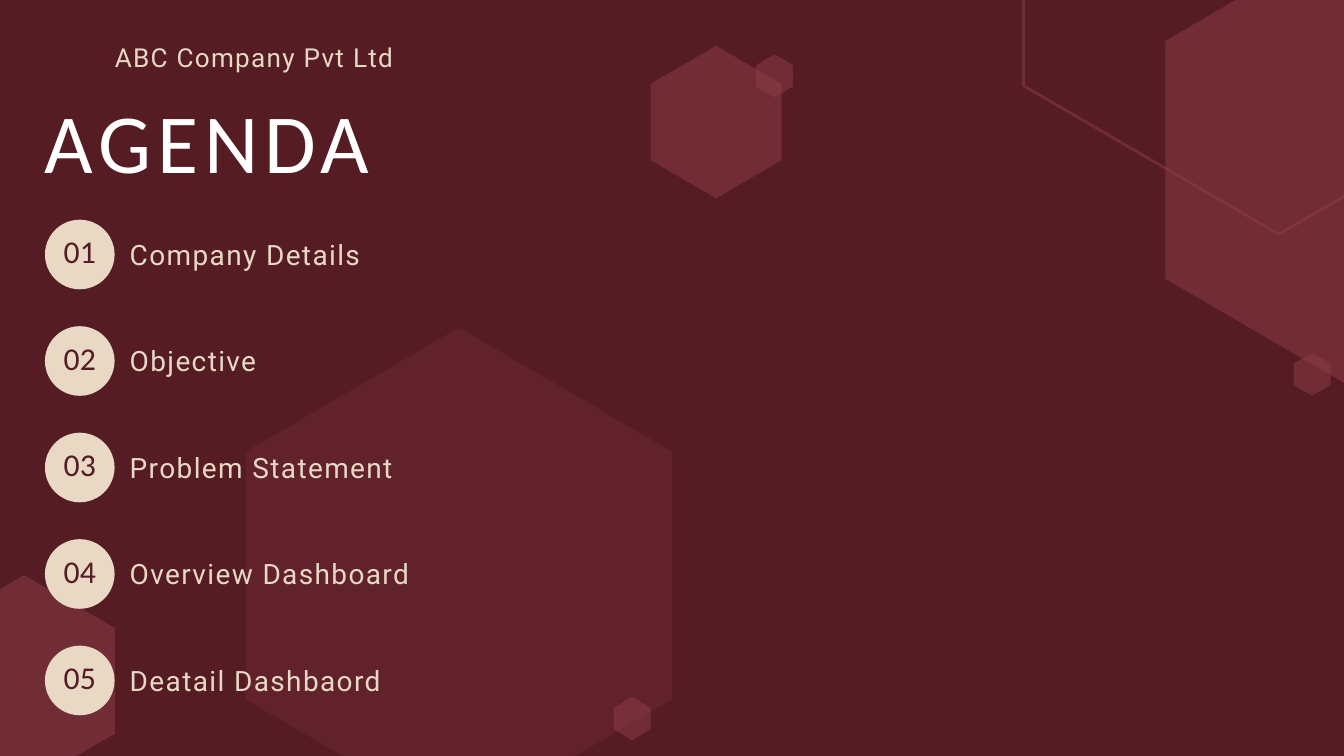
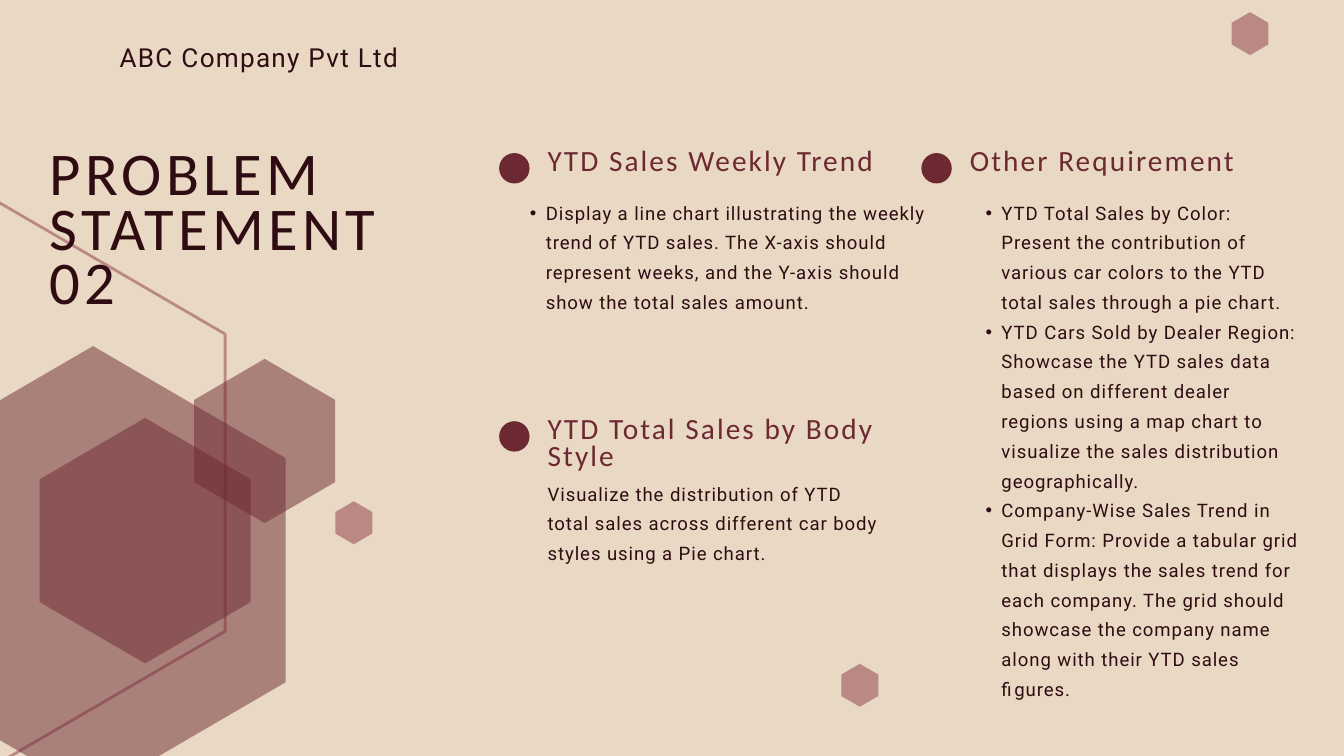
from collections import namedtuple

from lxml.etree import SubElement
from pptx import Presentation
from pptx.dml.color import RGBColor
from pptx.enum.shapes import MSO_SHAPE as Preset
from pptx.enum.text import MSO_ANCHOR as Anchor, MSO_AUTO_SIZE as AutoSize, PP_ALIGN as Align
from pptx.oxml.ns import qn
from pptx.util import Pt

COLORS = {
    "wine": "561C24",
    "plum": "6D2932",
    "rose": "8E3C47",
    "sand": "E8D8C4",
    "ink": "2F0C11",
    "white": "FFFFFF",
}

TextStyle = namedtuple("TextStyle", "font size leading tracking")
STYLES = {
    "company": TextStyle("Roboto", 28, 39.2, 1.4),
    "agenda title": TextStyle("Calibri", 90, 81, 6.3),
    "topic title": TextStyle("Calibri", 65, 58.5, 4.5),
    "agenda item": TextStyle("Roboto", 30, 42, 1.5),
    "number": TextStyle("Calibri", 34, None, 0),
    "heading": TextStyle("Calibri", 31.4, 28.2, 2.2),
    "body": TextStyle("Roboto", 19.9, 31.9, 1),
}

TITLE_ONLY = 5
HEXAGON_RATIO = 1.164
SMALL_HEXAGON = 39.6


class Deck:
    def __init__(self):
        self.presentation = Presentation()
        self.presentation.slide_width = Pt(1440)
        self.presentation.slide_height = Pt(810)
        self.slide = None

    def color(self, name):
        return RGBColor.from_string(COLORS[name])

    def add_slide(self, background):
        layout = self.presentation.slide_layouts[TITLE_ONLY]
        self.slide = self.presentation.slides.add_slide(layout)
        fill = self.slide.background.fill
        fill.solid()
        fill.fore_color.rgb = self.color(background)

    def set_text(self, shape, paragraphs, style_name, color, bulleted=False):
        """Fill a shape with paragraphs in one of the named text styles."""
        style = STYLES[style_name]
        frame = shape.text_frame
        frame.word_wrap = True
        frame.auto_size = AutoSize.NONE
        frame.vertical_anchor = Anchor.TOP
        frame.margin_left = frame.margin_right = 0
        frame.margin_top = frame.margin_bottom = 0
        frame.text = "\n".join(paragraphs)
        for paragraph in frame.paragraphs:
            paragraph.alignment = Align.LEFT
            if style.leading:
                paragraph.line_spacing = Pt(style.leading)
            if bulleted:
                self.add_bullet(paragraph)
            for run in paragraph.runs:
                run.font.name = style.font
                run.font.size = Pt(style.size)
                run.font.color.rgb = self.color(color)
                run._r.get_or_add_rPr().set("spc", str(round(style.tracking * 100)))

    def add_bullet(self, paragraph):
        properties = paragraph._p.get_or_add_pPr()
        properties.set("marL", str(Pt(34)))
        properties.set("indent", str(Pt(-17)))
        SubElement(properties, qn("a:buFont")).set("typeface", "Arial")
        SubElement(properties, qn("a:buChar")).set("char", "•")

    def title(self, left, top, width, height, text, style_name, color):
        title = self.slide.shapes.title
        title.left, title.top = Pt(left), Pt(top)
        title.width, title.height = Pt(width), Pt(height)
        self.set_text(title, [text], style_name, color)
        # Bring the title in front of the hexagons
        title.element.getparent().append(title.element)

    def text(self, left, top, width, height, paragraphs, style_name, color, bulleted=False):
        box = self.slide.shapes.add_textbox(Pt(left), Pt(top), Pt(width), Pt(height))
        self.set_text(box, paragraphs, style_name, color, bulleted)

    def company(self, left, color):
        self.text(left, 39, 360, 39, ["ABC Company Pvt Ltd"], "company", color)

    def hexagon(self, left, top, width=SMALL_HEXAGON, color="rose", outlined=False):
        """Draw a half-transparent hexagon that stands on a corner."""
        height = width * HEXAGON_RATIO
        middle, right = left + width / 2, left + width
        upper, lower = top + height / 4, top + height * 3 / 4
        corners = [(right, upper), (right, lower), (middle, top + height),
                   (left, lower), (left, upper)]
        builder = self.slide.shapes.build_freeform(Pt(middle), Pt(top))
        builder.add_line_segments([(Pt(x), Pt(y)) for x, y in corners], close=True)
        shape = builder.convert_to_shape()
        shape.shadow.inherit = False
        if outlined:
            shape.fill.background()
            shape.line.color.rgb = self.color(color)
            shape.line.width = Pt(3)
        else:
            shape.fill.solid()
            shape.fill.fore_color.rgb = self.color(color)
            shape.line.fill.background()
        for tint in shape.element.spPr.iter(qn("a:srgbClr")):
            SubElement(tint, qn("a:alpha")).set("val", "50000")

    def circle(self, left, top, size, color):
        shape = self.slide.shapes.add_shape(Preset.OVAL, Pt(left), Pt(top), Pt(size), Pt(size))
        shape.shadow.inherit = False
        shape.fill.solid()
        shape.fill.fore_color.rgb = self.color(color)
        shape.line.fill.background()
        return shape

    def agenda_item(self, top, number, label):
        circle = self.circle(48.2, top, 74.6, "sand")
        self.set_text(circle, [f"{number:02}"], "number", "wine")
        circle.text_frame.vertical_anchor = Anchor.MIDDLE
        circle.text_frame.margin_bottom = Pt(7)
        circle.text_frame.paragraphs[0].alignment = Align.CENTER
        self.text(139, top + 13, 541, 42, [label], "agenda item", "sand")

    def heading(self, left, top, text):
        self.circle(left, top + 2, 32.6, "plum")
        self.text(left + 52, top, 354, 62, [text], "heading", "plum")


def build_agenda(deck):
    deck.add_slide("wine")
    deck.hexagon(263.5, 351, 456.5, "plum")
    deck.hexagon(1248.5, -83.5, 437.8)
    deck.hexagon(1096.6, -386, 547.2, outlined=True)
    deck.hexagon(-71.3, 616.3, 194.4)
    deck.hexagon(697, 49, 140.4)
    for left, top in [(810, 58.3), (1386, 378), (657.4, 746.8)]:
        deck.hexagon(left, top)
    deck.company(123, "sand")
    deck.title(48.2, 123, 631, 103, "AGENDA", "agenda title", "white")
    topics = ["Company Details", "Objective", "Problem Statement",
              "Overview Dashboard", "Deatail Dashbaord"]
    for index, topic in enumerate(topics):
        deck.agenda_item(235.4 + 114.1 * index, index + 1, topic)


def build_problem_statement(deck):
    deck.add_slide("sand")
    deck.hexagon(-306, 198.7, 547.2, outlined=True)
    deck.hexagon(-106.6, 370.8, 412.6, "plum")
    deck.hexagon(42.5, 447.8, 226, "plum")
    deck.hexagon(208, 384.5, 151.2, "plum")
    for left, top in [(1319.5, 13), (901.4, 711.2), (359.3, 537.1)]:
        deck.hexagon(left, top)
    deck.title(53.3, 164, 442, 191, "PROBLEM STATEMENT 02", "topic title", "ink")
    deck.company(128.2, "ink")

    deck.heading(534.8, 162, "YTD Sales Weekly Trend")
    deck.text(550.8, 208, 453, 156, [
        "Display a line chart illustrating the weekly trend of YTD sales. The X-axis should "
        "represent weeks, and the Y-axis should show the total sales amount.",
    ], "body", "ink", bulleted=True)

    deck.heading(534.8, 449.3, "YTD Total Sales by Body Style")
    deck.text(586.8, 509, 354, 93, [
        "Visualize the distribution of YTD total sales across different car body styles "
        "using a Pie chart.",
    ], "body", "ink")

    deck.heading(987.2, 162, "Other Requirement")
    deck.text(1039, 208, 354, 595, [
        "YTD Total Sales by Color: Present the contribution of various car colors to the YTD "
        "total sales through a pie chart.",
        "YTD Cars Sold by Dealer Region: Showcase the YTD sales data based on different dealer "
        "regions using a map chart to visualize the sales distribution geographically.",
        "Company-Wise Sales Trend in Grid Form: Provide a tabular grid that displays the sales "
        "trend for each company. The grid should showcase the company name along with their "
        "YTD sales figures.",
    ], "body", "ink", bulleted=True)


def main():
    deck = Deck()
    build_agenda(deck)
    build_problem_statement(deck)
    deck.presentation.save("out.pptx")


if __name__ == "__main__":
    main()
